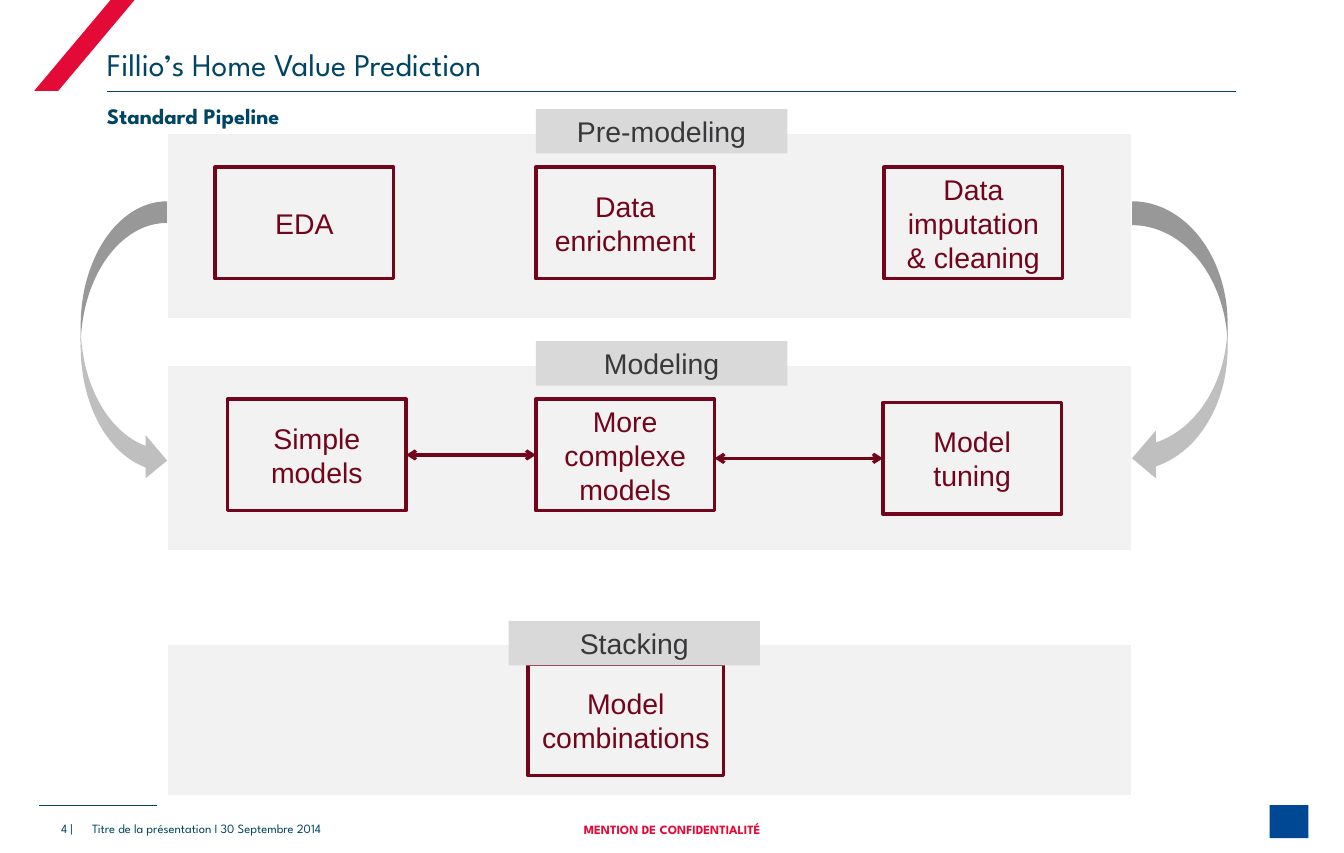
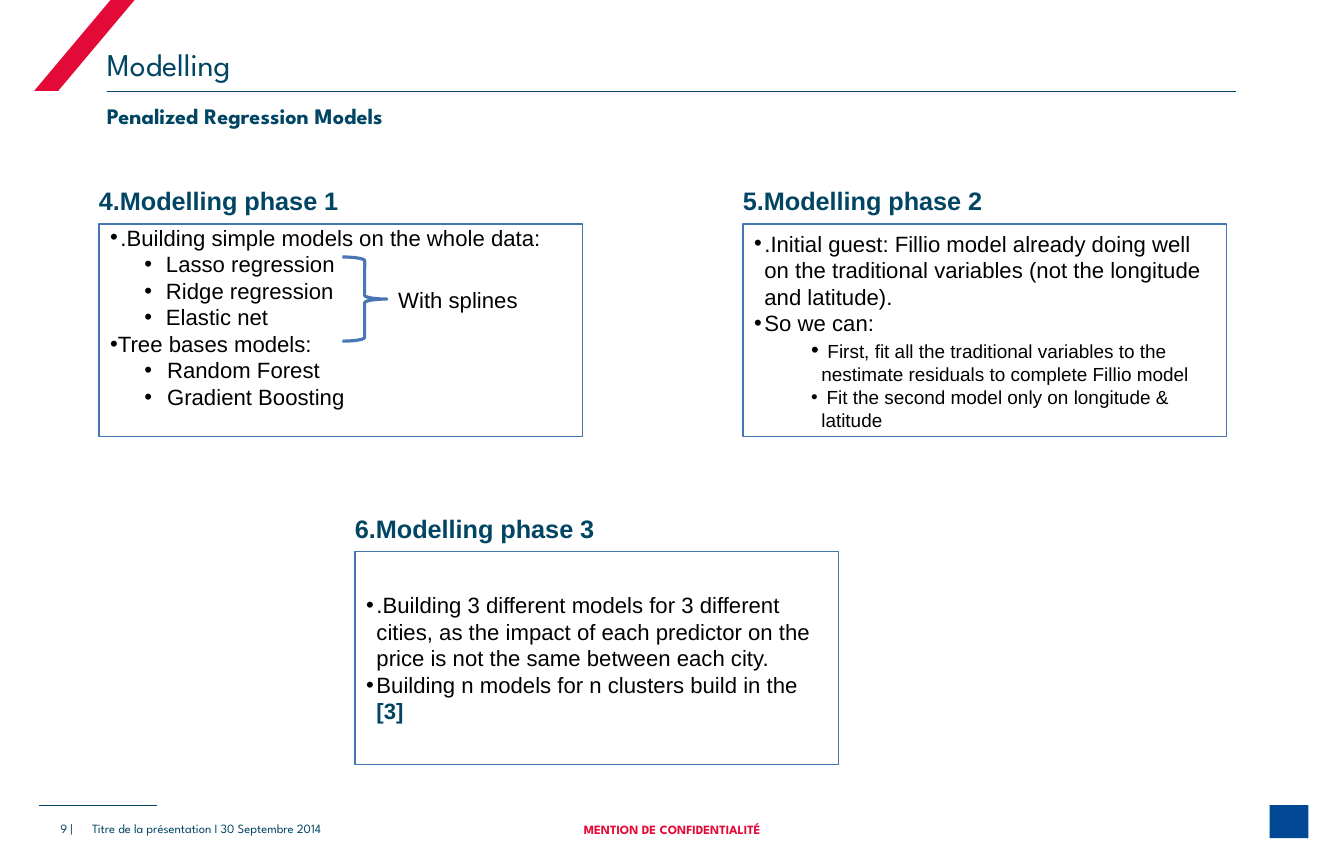
from lxml.etree import SubElement
from pptx import Presentation
from pptx.dml.color import RGBColor
from pptx.enum.shapes import MSO_CONNECTOR, MSO_SHAPE
from pptx.enum.text import MSO_ANCHOR, PP_ALIGN
from pptx.oxml.ns import qn
from pptx.util import Inches, Pt

NAVY = RGBColor(0x00, 0x45, 0x63)
RED = RGBColor(0xE4, 0x0A, 0x38)
BLUE = RGBColor(0x00, 0x48, 0x93)
WINE = RGBColor(0x72, 0x05, 0x1C)
WHITE = RGBColor(0xFF, 0xFF, 0xFF)
PALE = RGBColor(0xF2, 0xF2, 0xF2)
GRAY = RGBColor(0xD9, 0xD9, 0xD9)
STEEL = RGBColor(0xBF, 0xBF, 0xBF)
DARK = RGBColor(0x38, 0x38, 0x3A)
BLACK = RGBColor(0x00, 0x00, 0x00)
EDGE = RGBColor(0x45, 0x74, 0xB5)
BRACE = RGBColor(0x49, 0x77, 0xB6)
BRAND = "League Spartan"
BOX_W, BOX_H = 1.57, 0.98


def write(frame, text, size=14, color=BLACK, bold=False, font="Arial",
          align=PP_ALIGN.LEFT, before=0, left=0, hang=None, join=False):
    """Add a formatted paragraph, or a run joined to the last one."""
    last = join or not frame.text
    par = frame.paragraphs[-1] if last else frame.add_paragraph()
    run = par.add_run()
    run.text = text
    run.font.size, run.font.bold, run.font.name = Pt(size), bold, font
    run.font.color.rgb = color
    if join:
        return
    par.alignment = align
    par.space_before = Pt(before)
    if hang is not None:
        props = par._p.get_or_add_pPr()
        props.set("marL", str(Inches(left)))
        props.set("indent", str(-Inches(hang)))
        SubElement(props, qn("a:buFont")).set("typeface", "Arial")
        SubElement(props, qn("a:buChar")).set("char", "•")


def label(slide, box, text, anchor=MSO_ANCHOR.TOP, **style):
    """Place a text box without insets."""
    frame = slide.shapes.add_textbox(*map(Inches, box)).text_frame
    frame.word_wrap = True
    frame.margin_left = frame.margin_right = 0
    frame.margin_top = frame.margin_bottom = 0
    frame.vertical_anchor = anchor
    write(frame, text, **style)


def shape(slide, box, kind=MSO_SHAPE.RECTANGLE, fill=None, line=None, width=0.75):
    """Place a flat preset shape."""
    item = slide.shapes.add_shape(kind, *map(Inches, box))
    item.shadow.inherit = False
    if fill is None:
        item.fill.background()
    else:
        item.fill.solid()
        item.fill.fore_color.rgb = fill
    if line is None:
        item.line.fill.background()
    else:
        item.line.color.rgb = line
        item.line.width = Pt(width)
    item.text_frame.word_wrap = True
    item.text_frame.vertical_anchor = MSO_ANCHOR.MIDDLE
    return item


def rule(slide, start, end, color=NAVY, width=0.5, heads=False):
    """Draw a straight line, with arrowheads at both ends if asked."""
    item = slide.shapes.add_connector(
        MSO_CONNECTOR.STRAIGHT, *map(Inches, (*start, *end)))
    item.line.color.rgb = color
    item.line.width = Pt(width)
    if heads:
        line = item.line._get_or_add_ln()
        for tag in ("a:headEnd", "a:tailEnd"):
            SubElement(line, qn(tag)).set("type", "arrow")
    SubElement(item._element.spPr, qn("a:effectLst"))
    return item


def base(deck, title, topic, number):
    """Add a slide with its band, titles and footer."""
    slide = deck.slides.add_slide(deck.slide_layouts[6])
    rule(slide, (0.34, 7.08), (1.38, 7.08))
    shape(slide, (11.16, 7.08, 0.34, 0.29), fill=BLUE)
    band = shape(slide, (0.3, -0.02, 0.9, 0.82), MSO_SHAPE.PARALLELOGRAM, RED)
    band.adjustments[0] = 0.84
    rule(slide, (0.94, 0.8), (10.86, 0.8))
    low = MSO_ANCHOR.BOTTOM
    label(slide, (0.94, 0.36, 9.92, 0.37), title, low,
          size=20, color=NAVY, font=BRAND)
    label(slide, (0.94, 0.9, 9.91, 0.42), topic,
          size=14, color=NAVY, bold=True, font=BRAND, before=2.8)
    foot = {"size": 8, "font": BRAND}
    label(slide, (0.07, 7.12, 0.57, 0.23), f"{number} |", low,
          color=NAVY, align=PP_ALIGN.RIGHT, **foot)
    label(slide, (0.81, 7.12, 3.69, 0.23),
          "Titre de la présentation I 30 Septembre 2014", low, color=NAVY, **foot)
    label(slide, (4.53, 7.12, 2.76, 0.24), "MENTION DE CONFIDENTIALITÉ", low,
          color=RED, bold=True, align=PP_ALIGN.CENTER, **foot)
    return slide


def stage(slide, box, name, tab, steps):
    """Draw a pale panel with step boxes and a name tab; return the boxes."""
    x, y = box[:2]
    shape(slide, box, fill=PALE, line=WHITE)
    items = []
    for text, dx, dy, width in steps:
        item = shape(slide, (x + dx, y + dy, width, BOX_H), line=WINE, width=2.25)
        write(item.text_frame, text, size=18, color=WINE, align=PP_ALIGN.CENTER)
        items.append(item)
    head = shape(slide, (x + tab, y - 0.21, 2.21, 0.39), fill=GRAY)
    write(head.text_frame, name, size=18, color=DARK, align=PP_ALIGN.CENTER)
    return items


def flow(deck):
    """Build the pipeline slide."""
    slide = base(deck, "Fillio’s Home Value Prediction", "Standard Pipeline", 4)
    stage(slide, (1.47, 1.17, 8.48, 1.63), "Pre-modeling", 3.24, [
        ("EDA", 0.42, 0.3, BOX_W),
        ("Data enrichment", 3.24, 0.3, BOX_W),
        ("Data imputation & cleaning", 6.3, 0.3, BOX_W)])
    plain, rich, tuned = stage(slide, (1.47, 3.21, 8.48, 1.63), "Modeling", 3.24, [
        ("Simple models", 0.53, 0.3, BOX_W),
        ("More complexe models", 3.24, 0.3, BOX_W),
        ("Model tuning", 6.29, 0.33, BOX_W)])
    stage(slide, (1.47, 5.67, 8.48, 1.33), "Stacking", 3, [
        ("Model combinations", 3.17, 0.17, 1.72)])
    first = rule(slide, (3.57, 4), (4.71, 4), WINE, 2, True)
    first.begin_connect(plain, 3)
    first.end_connect(rich, 1)
    second = rule(slide, (6.28, 4.03), (7.76, 4.03), WINE, 2, True)
    second.end_connect(tuned, 1)
    for x, width, flip in ((0.71, 0.76, True), (9.95, 0.84, False)):
        bend = shape(slide, (x, 1.77, width, 2.47),
                     MSO_SHAPE.CURVED_LEFT_ARROW, STEEL)
        if flip:
            bend._element.spPr.find(qn("a:xfrm")).set("flipH", "1")


def phase(slide, x, y, title, lines):
    """Draw a titled frame with bullets; return its text frame."""
    frame = shape(slide, (x, y, 4.25, 1.87), line=EDGE).text_frame
    for text, left, hang, size in lines:
        write(frame, text, size, left=left, hang=hang, join=hang is None)
    label(slide, (x, y - 0.34, 3.1, 0.27), title, size=16, color=NAVY, bold=True)
    return frame


def models(deck):
    """Build the modelling phases slide."""
    slide = base(deck, "Modelling", "Penalized Regression Models", 9)
    frame = phase(slide, 0.87, 1.97, "4.Modelling phase 1", [
        (".Building simple models on the whole data:", 0.09, 0.09, 14),
        ("Lasso regression", 0.49, 0.19, 14),
        ("Ridge regression", 0.49, 0.19, 14),
        ("Elastic net", 0.49, 0.19, 14),
        ("Tree bases models:", 0, 0.2, 14),
        ("Random Forest", 0.5, 0.2, 14),
        ("Gradient Boosting", 0.5, 0.2, 14)])
    frame.vertical_anchor = MSO_ANCHOR.TOP
    frame.margin_top = 0
    shape(slide, (3.01, 2.26, 0.39, 0.74), MSO_SHAPE.RIGHT_BRACE,
          line=BRACE, width=2)
    label(slide, (3.5, 2.52, 1.12, 0.24), "With splines")
    phase(slide, 6.53, 1.97, "5.Modelling phase 2", [
        (".Initial guest: Fillio model already doing well on the traditional "
         "variables (not the longitude and latitude).", 0.09, 0.09, 14),
        ("So we can:", 0.09, 0.09, 14),
        (" ", 0.59, 0.09, 14),
        ("First, fit all the traditional variables to the nestimate "
         "residuals to complete Fillio model", 0, None, 12),
        (" Fit the second model only on longitude & latitude", 0.59, 0.09, 12)])
    frame = phase(slide, 3.12, 4.85, "6.Modelling phase 3", [
        (".Building 3 different models for 3 different cities, as the impact of "
         "each predictor on the price is not the same between each city.",
         0.09, 0.09, 14),
        ("Building n models for n clusters build in the ", 0.09, 0.09, 14)])
    write(frame, "[3]", color=NAVY, bold=True, join=True)


def main():
    """Build and save the deck."""
    deck = Presentation()
    deck.slide_width, deck.slide_height = Inches(11.8125), Inches(7.5)
    flow(deck)
    models(deck)
    deck.save("out.pptx")


if __name__ == "__main__":
    main()
